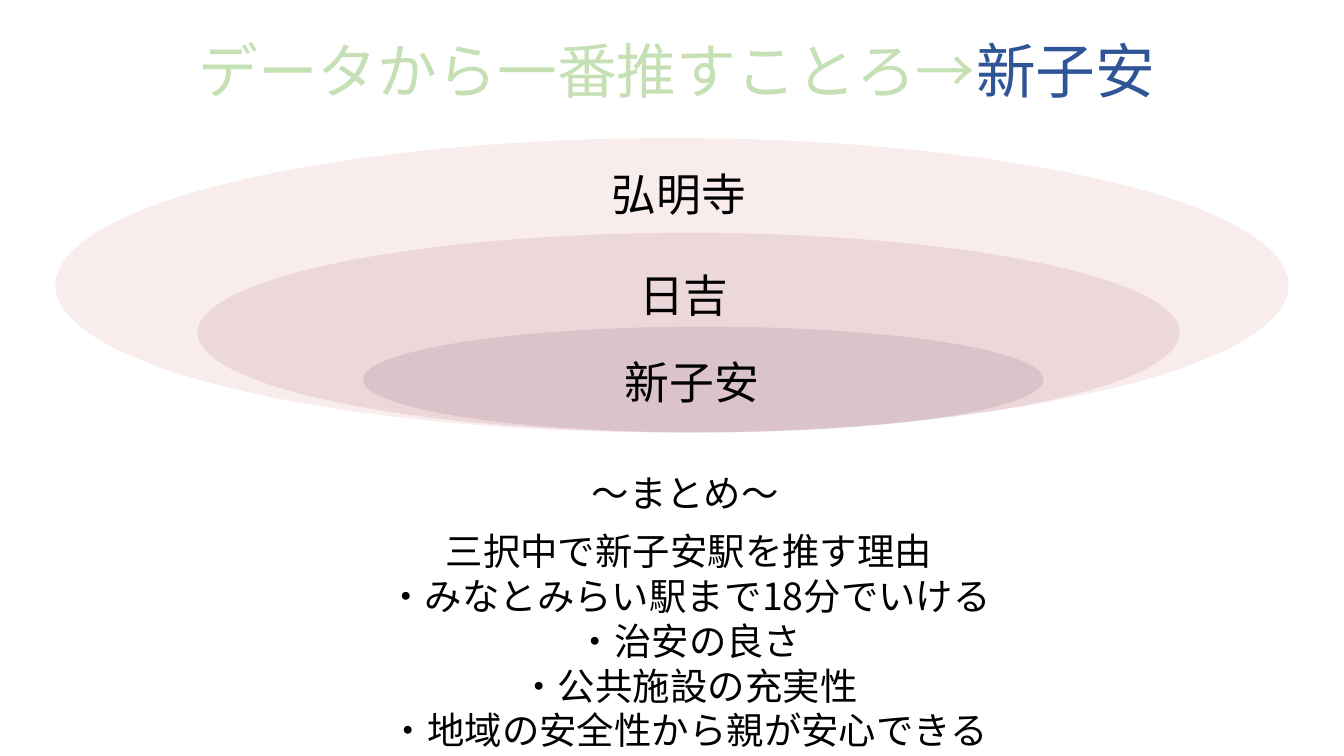
from dataclasses import dataclass

from lxml.etree import SubElement
from pptx import Presentation
from pptx.dml.color import RGBColor
from pptx.enum.shapes import MSO_SHAPE
from pptx.enum.text import MSO_AUTO_SIZE, PP_ALIGN
from pptx.oxml.ns import qn
from pptx.shapes.shapetree import GroupShapes
from pptx.slide import Slide
from pptx.util import Inches, Pt


@dataclass(frozen=True)
class Theme:
    font: str = "Noto Sans CJK JP"
    text: str = "000000"
    title_green: str = "C5E0B4"
    title_blue: str = "2F5597"
    rings: tuple[str, ...] = ("E8B5BB", "C79DA9", "A68596")
    ring_opacity: int = 25
    title_size: float = 42.7
    station_size: float = 32
    summary_size: float = 26.7
    line_height: float = 1.2


@dataclass(frozen=True)
class Ring:
    left: float
    width: float
    height: float
    color: str


@dataclass(frozen=True)
class Span:
    text: str
    color: str


@dataclass(frozen=True)
class Label:
    left: float
    top: float
    width: float
    height: float
    size: float
    lines: tuple[tuple[Span, ...], ...]
    align: PP_ALIGN = PP_ALIGN.LEFT


THEME = Theme()
RINGS_BOTTOM = 4.29


def plain(*lines: str) -> tuple[tuple[Span, ...], ...]:
    return tuple((Span(line, THEME.text),) for line in lines)


RINGS = [
    Ring(0.55, 12.23, 2.92, THEME.rings[0]),
    Ring(1.96, 9.74, 1.98, THEME.rings[1]),
    Ring(3.6, 6.75, 1.05, THEME.rings[2]),
]

LABELS = [
    # Stations, innermost ring first
    Label(6.1, 3.44, 1.74, 0.64, THEME.station_size, plain("新子安")),
    Label(5.97, 1.57, 1.74, 0.64, THEME.station_size, plain("弘明寺")),
    Label(6.24, 2.58, 1.19, 0.64, THEME.station_size, plain("日吉")),
    # Title
    Label(1.87, 0.25, 9.93, 0.82, THEME.title_size, ((
        Span("データから一番推すことろ→", THEME.title_green),
        Span("新子安", THEME.title_blue),
    ),)),
    # Summary
    Label(5.77, 4.58, 2.14, 0.55, THEME.summary_size, plain("〜まとめ〜")),
    Label(1.84, 5.16, 9.99, 2.35, THEME.summary_size, plain(
        "三択中で新子安駅を推す理由",
        "・みなとみらい駅まで18分でいける",
        "・治安の良さ",
        "・公共施設の充実性",
        "・地域の安全性から親が安心できる",
    ), PP_ALIGN.CENTER),
]


def draw_ring(shapes: GroupShapes, ring: Ring) -> None:
    oval = shapes.add_shape(
        MSO_SHAPE.OVAL, Inches(ring.left), Inches(RINGS_BOTTOM - ring.height),
        Inches(ring.width), Inches(ring.height))
    oval.shadow.inherit = False
    oval.line.fill.background()
    oval.fill.solid()
    oval.fill.fore_color.rgb = RGBColor.from_string(ring.color)
    color = oval.fill._xPr.find(qn("a:solidFill"))[0]
    SubElement(color, qn("a:alpha"), val=str(THEME.ring_opacity * 1000))


def draw_label(page: Slide, label: Label) -> None:
    box = page.shapes.add_textbox(
        Inches(label.left), Inches(label.top),
        Inches(label.width), Inches(label.height))
    frame = box.text_frame
    frame.word_wrap = True
    frame.auto_size = MSO_AUTO_SIZE.SHAPE_TO_FIT_TEXT
    frame.margin_top, frame.margin_bottom = Inches(0.08), Inches(0.02)
    for index, line in enumerate(label.lines):
        para = frame.add_paragraph() if index else frame.paragraphs[0]
        para.alignment = label.align
        para.line_spacing = Pt(label.size * THEME.line_height)
        para.font.size = Pt(label.size)
        para.font.name = THEME.font
        # East Asian typeface
        defaults = para._p.pPr.find(qn("a:defRPr"))
        SubElement(defaults, qn("a:ea"), typeface=THEME.font)
        if len(line) == 1:
            para.font.color.rgb = RGBColor.from_string(line[0].color)
        for span in line:
            run = para.add_run()
            run.text = span.text
            if len(line) > 1:
                run.font.color.rgb = RGBColor.from_string(span.color)


def main() -> None:
    deck = Presentation()
    deck.slide_width, deck.slide_height = Inches(13.33), Inches(7.5)
    page = deck.slides.add_slide(deck.slide_layouts[6])

    # Nested rings resting on one bottom edge
    rings = page.shapes.add_group_shape()
    for ring in RINGS:
        draw_ring(rings.shapes, ring)

    # All wording
    for label in LABELS:
        draw_label(page, label)

    deck.save("out.pptx")


if __name__ == "__main__":
    main()
